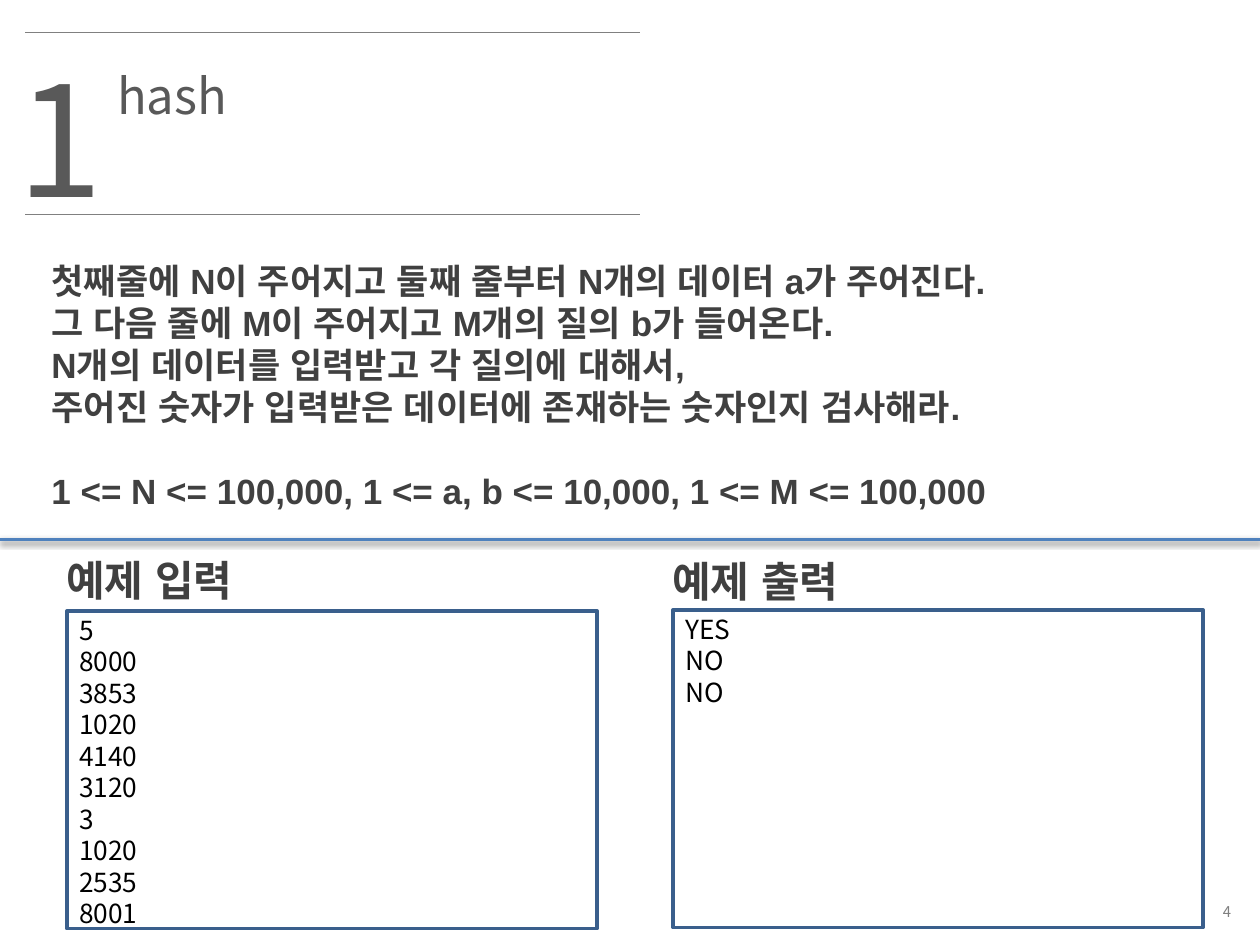
from dataclasses import dataclass

from lxml import etree
from pptx import Presentation
from pptx.dml.color import RGBColor
from pptx.enum import shapes, text
from pptx.oxml import ns
from pptx.util import Pt


@dataclass(frozen=True)
class Theme:
    body_font: str = "Arial"
    plain_font: str = "Noto Sans CJK KR"
    body: str = "404040"
    title: str = "595959"
    muted: str = "808080"
    sample: str = "000000"
    accent: str = "4F81BD"
    frame: str = "3A5F8C"
    number_size: float = 88
    title_size: float = 28
    heading_size: float = 24
    body_size: float = 20
    sample_size: float = 15
    page_size: float = 8.5


THEME = Theme()

STATEMENT = [
    "첫째줄에 N이 주어지고 둘째 줄부터 N개의 데이터 a가 주어진다.",
    "그 다음 줄에 M이 주어지고 M개의 질의 b가 들어온다.",
    "N개의 데이터를 입력받고 각 질의에 대해서,",
    "주어진 숫자가 입력받은 데이터에 존재하는 숫자인지 검사해라.",
]
LIMITS = "1 <= N <= 100,000, 1 <= a, b <= 10,000, 1 <= M <= 100,000"
SAMPLE_INPUT = "5 8000 3853 1020 4140 3120 3 1020 2535 8001".split()
SAMPLE_OUTPUT = ["YES", "NO", "NO"]


def write_lines(box, lines, size, color, font, bold=False, leading=1.2):
    frame = box.text_frame
    frame.word_wrap = True
    for index, line in enumerate(lines):
        para = frame.add_paragraph() if index else frame.paragraphs[0]
        para.alignment = text.PP_ALIGN.LEFT
        para.line_spacing = Pt(size * leading)
        span = para.add_run()
        span.text = line
        span.font.name = font
        span.font.size = Pt(size)
        span.font.bold = bold
        span.font.color.rgb = RGBColor.from_string(color)
        east_asian = etree.SubElement(span.font._element, ns.qn("a:ea"))
        east_asian.set("typeface", font)
    return frame


def add_text(page, left, top, width, height, lines, *style, **options):
    box = page.shapes.add_textbox(Pt(left), Pt(top), Pt(width), Pt(height))
    return write_lines(box, lines, *style, **options)


def add_rule(page, left, right, y, color, weight):
    rule = page.shapes.add_connector(
        shapes.MSO_CONNECTOR.STRAIGHT, Pt(left), Pt(y), Pt(right), Pt(y))
    rule.line.color.rgb = RGBColor.from_string(color)
    rule.line.width = Pt(weight)
    return etree.SubElement(rule._element.spPr, ns.qn("a:effectLst"))


def add_shadow(effects):
    shadow = etree.SubElement(
        effects, ns.qn("a:outerShdw"), blurRad=str(Pt(3.1)), dist=str(Pt(1.6)),
        dir="5400000", rotWithShape="0")
    color = etree.SubElement(shadow, ns.qn("a:srgbClr"), val="000000")
    etree.SubElement(color, ns.qn("a:alpha"), val="38000")


def add_sample(page, left, heading_top, box_top, heading, lines):
    add_text(page, left - 7.5, heading_top, 136, 36, [heading],
             THEME.heading_size, THEME.body, THEME.body_font, bold=True)
    box = page.shapes.add_shape(
        shapes.MSO_SHAPE.RECTANGLE, Pt(left), Pt(box_top), Pt(303), Pt(181.5))
    box.shadow.inherit = False
    box.fill.background()
    box.line.color.rgb = RGBColor.from_string(THEME.frame)
    box.line.width = Pt(2)
    frame = write_lines(box, lines, THEME.sample_size, THEME.sample, THEME.plain_font)
    frame.vertical_anchor = text.MSO_ANCHOR.TOP
    frame.margin_top = Pt(1.7)
    frame.margin_bottom = Pt(0)


def add_header(page):
    for y in (18.7, 122.4):
        add_rule(page, 14.4, 365.8, y, THEME.muted, 0.75)
    add_text(page, 59.8, 31.7, 203.8, 41, ["hash"],
             THEME.title_size, THEME.title, THEME.plain_font, leading=1.28)
    add_text(page, 2.9, 14.4, 56.9, 113.8, ["1"],
             THEME.number_size, THEME.title, THEME.plain_font, leading=1.28)


def add_statement(page):
    frame = add_text(page, 22.3, 144.7, 689, 152.6, STATEMENT + [LIMITS],
                     THEME.body_size, THEME.body, THEME.body_font, bold=True)
    frame.paragraphs[-1].space_before = Pt(THEME.body_size * 1.2)


def add_page_number(page):
    frame = add_text(page, 558.7, 511.2, 151.9, 19.4, ["4"],
                     THEME.page_size, THEME.muted, THEME.plain_font)
    frame.vertical_anchor = text.MSO_ANCHOR.MIDDLE
    frame.paragraphs[0].alignment = text.PP_ALIGN.RIGHT


def main():
    deck = Presentation()
    deck.slide_width, deck.slide_height = Pt(720), Pt(540)
    page = deck.slides.add_slide(deck.slide_layouts[6])
    add_page_number(page)
    add_header(page)
    add_statement(page)
    add_shadow(add_rule(page, 0, 720, 308.2, THEME.accent, 2))
    add_sample(page, 38.2, 313.2, 349.2, "예제 입력", SAMPLE_INPUT)
    add_sample(page, 384.5, 313.9, 348.5, "예제 출력", SAMPLE_OUTPUT)
    deck.save("out.pptx")


if __name__ == "__main__":
    main()
